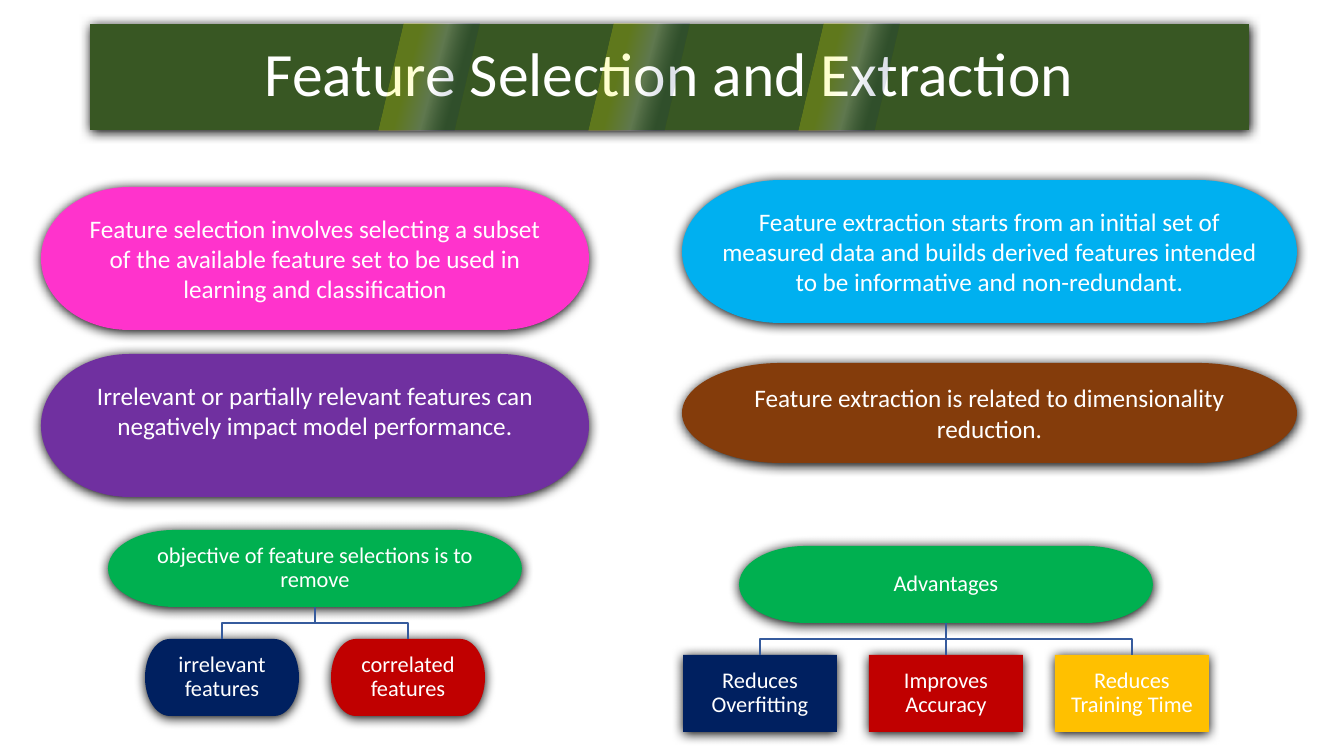
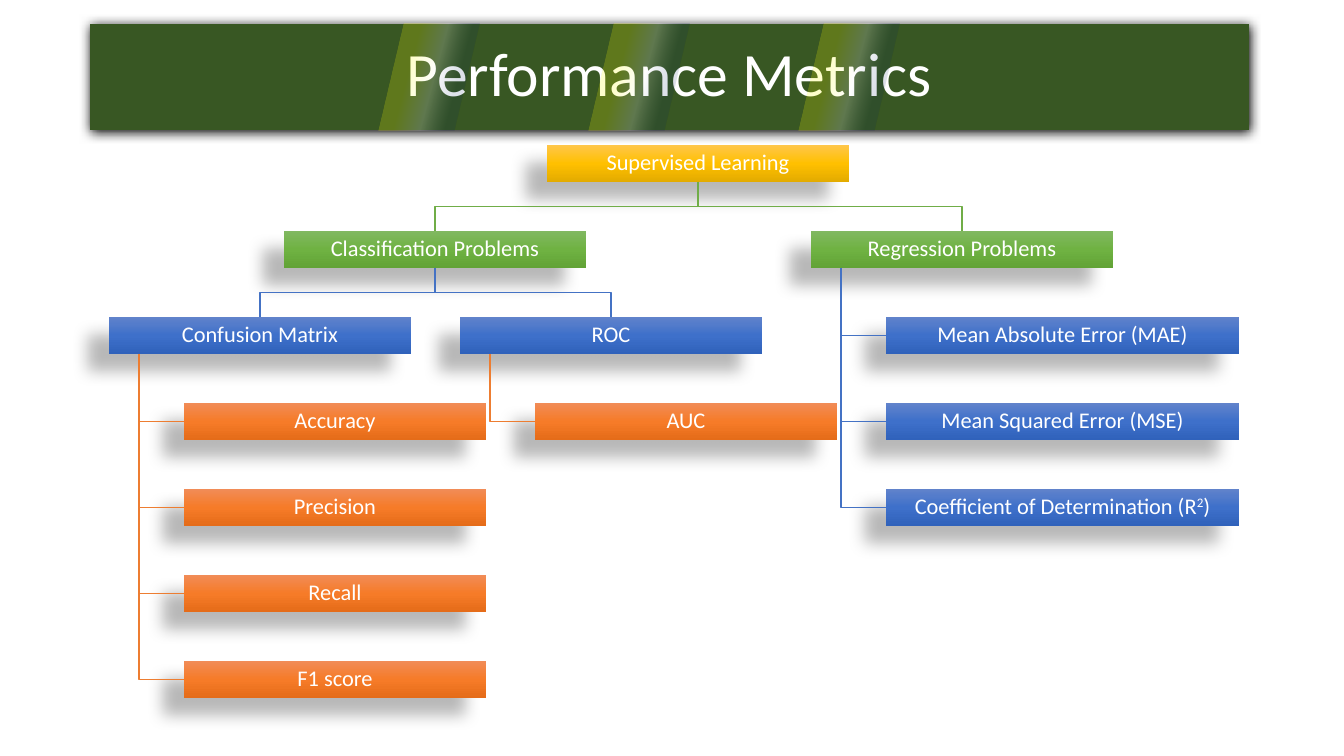
from lxml import etree
from pptx import Presentation
from pptx import util as u
from pptx.dml import color
from pptx.enum import shapes, text
from pptx.oxml import ns

SCALE = 914400 / 100.8
FONT = "Calibri"
COLOURS = {
    "white": "FFFFFF", "black": "000000", "banner": "385723",
    "yellow": "FFFF00", "navy": "002060", "pink": "FF33CC",
    "purple": "7030A0", "sky": "00B0F0", "brown": "843C0B",
    "emerald": "00B050", "red": "C00000", "amber": "FFC000", "link": "365B9D",
    "gold_top": "FFC64B", "gold_middle": "FFC000", "gold_bottom": "E3AB00",
    "green_top": "81B861", "green_middle": "6FB242", "green_bottom": "62A336",
    "blue_top": "6183CB", "blue_middle": "3E70CA", "blue_bottom": "3062BB",
    "orange_top": "F18C57", "orange_middle": "F67B28", "orange_bottom": "E56C19",
    "green_link": "70AD47", "blue_link": "4472C4", "orange_link": "ED7D31",
}
BAND_STOPS = [(33, "yellow", 20), (54, "white", 20), (73, "navy", 13)]
SOFT_SHADOW = {"blur": 8.5, "distance": 1, "angle": 90, "alpha": 100}
CAST_SHADOW = {"blur": 11.8, "distance": 19.7, "angle": 141, "alpha": 28}
TERMINATOR = shapes.MSO_SHAPE.FLOWCHART_TERMINATOR
RECTANGLE = shapes.MSO_SHAPE.RECTANGLE


def px(length):
    """Turn pixels into EMU."""
    return u.Emu(round(length * SCALE))


def rgb(name):
    """Look up a named colour."""
    return color.RGBColor.from_string(COLOURS[name])


def add_colour(parent, name, alpha):
    """Append a colour with an opacity in percent."""
    element = etree.SubElement(parent, ns.qn("a:srgbClr"), val=COLOURS[name])
    etree.SubElement(element, ns.qn("a:alpha"), val=str(alpha * 1000))


def set_gradient(shape, stops, angle):
    """Fill a shape with a linear gradient."""
    shape.fill.background()
    properties = shape.element.spPr
    empty_fill = properties.find(ns.qn("a:noFill"))
    gradient = etree.Element(ns.qn("a:gradFill"), rotWithShape="1")
    stop_list = etree.SubElement(gradient, ns.qn("a:gsLst"))
    for position, name, alpha in stops:
        stop = etree.SubElement(stop_list, ns.qn("a:gs"), pos=str(position * 1000))
        add_colour(stop, name, alpha)
    etree.SubElement(gradient, ns.qn("a:lin"), ang=str(angle * 60000), scaled="0")
    properties.replace(empty_fill, gradient)


def set_shadow(shape, blur, distance, angle, alpha):
    """Give a shape an outer shadow."""
    shape.shadow.inherit = False
    effects = shape.element.spPr.find(ns.qn("a:effectLst"))
    shadow = etree.SubElement(
        effects, ns.qn("a:outerShdw"), blurRad=str(u.Pt(blur)),
        dist=str(u.Pt(distance)), dir=str(angle * 60000), algn="ctr", rotWithShape="0")
    add_colour(shadow, "black", alpha)


def set_text(shape, label, size, anchor=text.MSO_ANCHOR.MIDDLE, spacing=0.9, margin=None):
    """Write a centred white label, raising the parts between carets."""
    frame = shape.text_frame
    frame.word_wrap = True
    frame.auto_size = text.MSO_AUTO_SIZE.NONE
    frame.vertical_anchor = anchor
    if margin is not None:
        frame.margin_left = frame.margin_right = px(margin)
        frame.margin_top = frame.margin_bottom = px(margin)
    paragraph = frame.paragraphs[0]
    paragraph.alignment = text.PP_ALIGN.CENTER
    paragraph.line_spacing = spacing
    for index, part in enumerate(label.split("^")):
        run = paragraph.add_run()
        run.text = part
        if index % 2:
            run._r.get_or_add_rPr().set("baseline", "30000")
    paragraph.font.name = FONT
    paragraph.font.size = u.Pt(size)
    paragraph.font.color.rgb = rgb("white")


def add_box(slide, kind, left, top, width, height):
    """Add a preset shape without line or shadow."""
    shape = slide.shapes.add_shape(kind, px(left), px(top), px(width), px(height))
    shape.line.fill.background()
    shape.shadow.inherit = False
    return shape


def add_solid_box(slide, kind, box, colour):
    """Add a solid shape with a soft shadow."""
    shape = add_box(slide, kind, *box)
    shape.fill.solid()
    shape.fill.fore_color.rgb = rgb(colour)
    set_shadow(shape, **SOFT_SHADOW)
    return shape


def set_line(line, colour):
    """Style a link line."""
    line.color.rgb = rgb(colour)
    line.width = u.Pt(1)


def add_elbow(slide, points, colour):
    """Add an open bent line through points in EMU."""
    builder = slide.shapes.build_freeform(*points[0], scale=1.0)
    builder.add_line_segments(points[1:], close=False)
    elbow = builder.convert_to_shape()
    elbow.fill.background()
    elbow.shadow.inherit = False
    set_line(elbow.line, colour)


def add_straight(slide, parent, child, colour):
    """Join the bottom of a parent to the top of a child right below."""
    line = slide.shapes.add_connector(shapes.MSO_CONNECTOR.STRAIGHT, 0, 0, 0, 0)
    line.begin_connect(parent, 2)
    line.end_connect(child, 0)
    set_line(line.line, colour)
    etree.SubElement(line.element.spPr, ns.qn("a:effectLst"))


def centre(shape):
    """Return the middle of a shape across the slide."""
    return shape.left + shape.width // 2


def link_below(slide, parent, children, colour):
    """Join a parent to a row of children underneath it."""
    bottom = parent.top + parent.height
    middle = (bottom + children[0].top) // 2
    start = centre(parent)
    for child in children:
        end = centre(child)
        if abs(end - start) < px(1):
            add_straight(slide, parent, child, colour)
        else:
            add_elbow(slide, [(start, bottom), (start, middle),
                              (end, middle), (end, child.top)], colour)


def link_beside(slide, parent, children, colour):
    """Join a parent to a column of children hanging from its left end."""
    spine = parent.left + px(30)
    for child in children:
        level = child.top + child.height // 2
        add_elbow(slide, [(spine, parent.top + parent.height), (spine, level),
                          (child.left, level)], colour)


def add_header(slide, title, left=90, top=24, width=1159, height=106):
    """Place the title banner and its slanted bands of light."""
    banner = slide.shapes.title
    banner.left, banner.top = px(left), px(top)
    banner.width, banner.height = px(width), px(height)
    banner.fill.solid()
    banner.fill.fore_color.rgb = rgb("banner")
    set_shadow(banner, **SOFT_SHADOW)
    set_text(banner, title, 44)
    for index in range(3):
        band = add_box(slide, shapes.MSO_SHAPE.PARALLELOGRAM,
                       left + 289 + 210 * index, top, 100, height)
        set_gradient(band, BAND_STOPS, 15)


def add_statement(slide, box, colour, label):
    """Place a large rounded statement."""
    shape = add_solid_box(slide, TERMINATOR, box, colour)
    set_text(shape, label, 18, text.MSO_ANCHOR.TOP, 1.0)


def add_small_tree(slide, left, top, label, child_kind, children):
    """Place a green heading over a centred row of coloured children."""
    width, height, child_width, gap = 414, 77, 154, 32
    heading = add_solid_box(slide, TERMINATOR, (left, top, width, height), "emerald")
    set_text(heading, label, 16, margin=1)
    pitch = child_width + gap
    first = left + (width - pitch * len(children) + gap) // 2
    row = []
    for index, (child_label, colour) in enumerate(children):
        box = (first + pitch * index, top + height + gap, child_width, height)
        child = add_solid_box(slide, child_kind, box, colour)
        set_text(child, child_label, 16, margin=1)
        row.append(child)
    link_below(slide, heading, row, "link")


def add_metrics_tree(slide, left, top):
    """Place the tree of metrics on a grid of rows."""
    pitch, indent, column = 86, 75, 351

    def node(label, offset, row, colour, width=302):
        """Add one gradient box of the tree."""
        shape = add_box(slide, RECTANGLE, left + offset, top + pitch * row, width, 37)
        stops = [(0, f"{colour}_top", 100), (50, f"{colour}_middle", 100),
                 (100, f"{colour}_bottom", 100)]
        set_gradient(shape, stops, 90)
        set_shadow(shape, **CAST_SHADOW)
        set_text(shape, label, 16, margin=1)
        return shape

    def hanging(labels, offset, row, colour, width=302):
        """Add a column of boxes indented from their parent."""
        return [node(label, offset + indent, row + index, colour, width)
                for index, label in enumerate(labels)]

    classification_offset = column // 2
    regression_offset = 2 * column
    root_offset = (classification_offset + regression_offset) // 2
    root = node("Supervised Learning", root_offset, 0, "gold")
    classification = node("Classification Problems", classification_offset, 1, "green")
    regression = node("Regression Problems", regression_offset, 1, "green")
    confusion = node("Confusion Matrix", 0, 2, "blue")
    roc = node("ROC", column, 2, "blue")
    scores = hanging(["Accuracy", "Precision", "Recall", "F1 score"], 0, 3, "orange")
    area = hanging(["AUC"], column, 3, "orange")
    errors = hanging(
        ["Mean Absolute Error (MAE)", "Mean Squared Error (MSE)",
         "Coefficient of Determination (R^2^)"], regression_offset, 2, "blue", 353)
    link_below(slide, root, [classification, regression], "green_link")
    link_below(slide, classification, [confusion, roc], "blue_link")
    link_beside(slide, confusion, scores, "orange_link")
    link_beside(slide, roc, area, "orange_link")
    link_beside(slide, regression, errors, "blue_link")


def build_features_slide(slide):
    """Compare feature selection with feature extraction."""
    add_header(slide, "Feature Selection and Extraction")
    add_statement(slide, (41, 187, 548, 143), "pink",
                  "Feature selection involves selecting a subset of the available "
                  "feature set to be used in learning and classification")
    add_statement(slide, (41, 354, 548, 143), "purple",
                  "Irrelevant or partially relevant features can negatively "
                  "impact model performance.")
    add_small_tree(slide, 108, 530, "objective of feature selections is to remove", TERMINATOR,
                   [("irrelevant features", "navy"), ("correlated features", "red")])
    add_statement(slide, (682, 180, 615, 143), "sky",
                  "Feature extraction starts from an initial set of measured data and builds "
                  "derived features intended to be informative and non-redundant.")
    add_statement(slide, (682, 363, 615, 100), "brown",
                  "Feature extraction is related to dimensionality reduction.")
    add_small_tree(slide, 739, 546, "Advantages", RECTANGLE,
                   [("Reduces Overfitting", "navy"), ("Improves Accuracy", "red"),
                    ("Reduces Training Time", "amber")])


def build_metrics_slide(slide):
    """Show the metrics of supervised learning."""
    add_header(slide, "Performance Metrics")
    add_metrics_tree(slide, 109, 145)


def main():
    """Build and save the presentation."""
    presentation = Presentation()
    presentation.slide_width, presentation.slide_height = px(1344), px(756)
    for build in (build_features_slide, build_metrics_slide):
        build(presentation.slides.add_slide(presentation.slide_layouts[5]))
    presentation.save("out.pptx")


if __name__ == "__main__":
    main()
